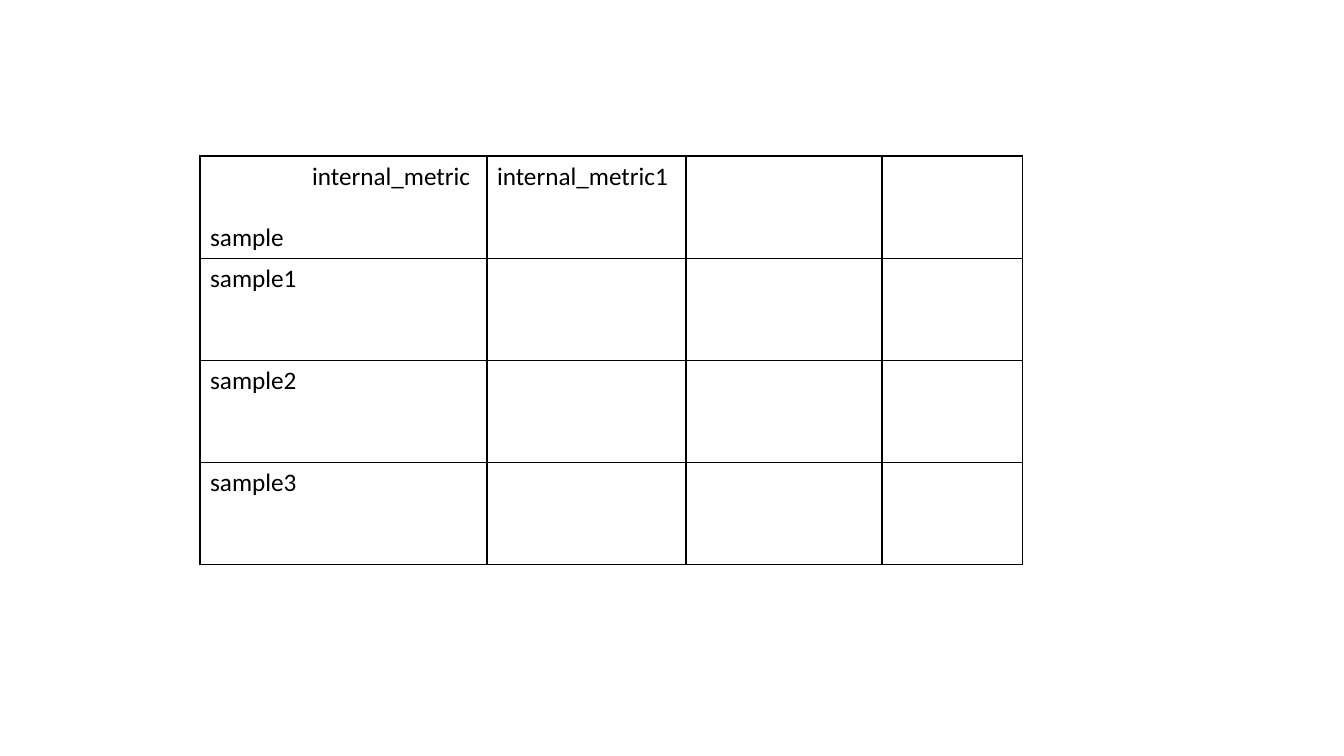
from dataclasses import dataclass

from lxml.etree import SubElement
from pptx import Presentation
from pptx.dml.color import RGBColor
from pptx.oxml.ns import qn
from pptx.table import _Cell
from pptx.util import Emu, Pt

COLORS = {"ink": "000000", "paper": "FFFFFF"}
FONT = "Calibri"
TEXT_SIZE = Pt(18)
BORDER_WIDTH = Pt(1)
EMU_PER_PX = 914400 / 100.8

COLUMN_WIDTHS = [287, 199, 196, 141]
ROW_COUNT = 4
ROW_HEIGHT = 102
TABLE_LEFT, TABLE_TOP = 200, 156


@dataclass
class Label:
    row: int
    column: int
    text: str
    line: int = 0
    indent: int = 0
    space_before: int = 0


LABELS = [
    Label(0, 0, "internal_metric", indent=102),
    Label(0, 0, "sample", line=1, space_before=22),
    Label(0, 1, "internal_metric1"),
    *[Label(number, 0, f"sample{number}") for number in range(1, ROW_COUNT)],
]


def px(length: int) -> Emu:
    return Emu(round(length * EMU_PER_PX))


def style_cell(cell: _Cell) -> None:
    properties = cell._tc.get_or_add_tcPr()
    for side in ("a:lnL", "a:lnR", "a:lnT", "a:lnB"):
        border = SubElement(properties, qn(side), w=str(BORDER_WIDTH))
        ink = SubElement(border, qn("a:solidFill"))
        SubElement(ink, qn("a:srgbClr"), val=COLORS["ink"])
    cell.fill.solid()
    cell.fill.fore_color.rgb = RGBColor.from_string(COLORS["paper"])


def write_label(cell: _Cell, label: Label) -> None:
    frame = cell.text_frame
    paragraph = frame.add_paragraph() if label.line else frame.paragraphs[0]
    if label.indent:
        paragraph._p.get_or_add_pPr().set("marL", str(px(label.indent)))
    if label.space_before:
        paragraph.space_before = Pt(label.space_before)
    run = paragraph.add_run()
    run.text = label.text
    run.font.name = FONT
    run.font.size = TEXT_SIZE
    run.font.color.rgb = RGBColor.from_string(COLORS["ink"])


def main() -> None:
    deck = Presentation()
    deck.slide_width, deck.slide_height = px(1344), px(756)
    slide = deck.slides.add_slide(deck.slide_layouts[6])

    # Empty grid
    metrics = slide.shapes.add_table(
        ROW_COUNT, len(COLUMN_WIDTHS), px(TABLE_LEFT), px(TABLE_TOP),
        px(sum(COLUMN_WIDTHS)), px(ROW_COUNT * ROW_HEIGHT),
    ).table
    metrics.first_row = False
    metrics.horz_banding = False
    for column, width in zip(metrics.columns, COLUMN_WIDTHS):
        column.width = px(width)
    for row in metrics.rows:
        row.height = px(ROW_HEIGHT)
    for cell in metrics.iter_cells():
        style_cell(cell)

    # Row and column headings
    for label in LABELS:
        write_label(metrics.cell(label.row, label.column), label)

    deck.save("out.pptx")


if __name__ == "__main__":
    main()
